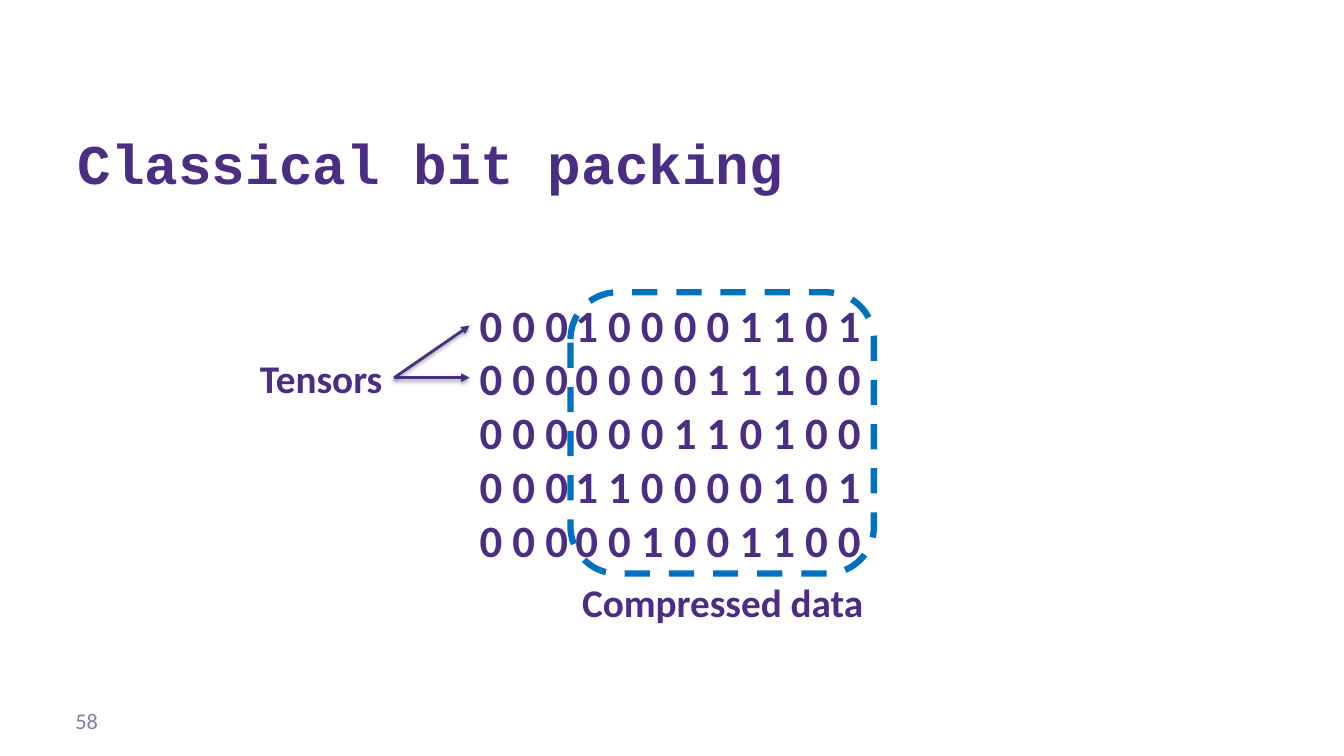
from lxml import etree
from pptx import Presentation
from pptx.dml.color import RGBColor
from pptx.enum.dml import MSO_LINE
from pptx.enum.shapes import MSO_CONNECTOR, MSO_SHAPE
from pptx.enum.text import MSO_ANCHOR, MSO_AUTO_SIZE, PP_ALIGN
from pptx.oxml import parse_xml
from pptx.oxml.ns import qn
from pptx.util import Pt

PURPLE = RGBColor(0x4B, 0x2E, 0x83)
MUTED_PURPLE = RGBColor(0x86, 0x7E, 0xA3)
BLUE = RGBColor(0x00, 0x70, 0xC0)
LEFT, CENTER = PP_ALIGN.LEFT, PP_ALIGN.CENTER
TOP, MIDDLE, BOTTOM = MSO_ANCHOR.TOP, MSO_ANCHOR.MIDDLE, MSO_ANCHOR.BOTTOM
NO_AUTOFIT = MSO_AUTO_SIZE.NONE
ROUNDED, STRAIGHT, DASH = MSO_SHAPE.ROUNDED_RECTANGLE, MSO_CONNECTOR.STRAIGHT, MSO_LINE.DASH
RIGHT_SIDE = 3

BITS_TOP, BITS_HEIGHT = 208.8, 200.9
LEADING_ZEROS = ["0 0 0"] * 5
PACKED_BITS = [
    "1 0 0 0 0 1 1 0 1",
    "0 0 0 0 1 1 1 0 0",
    "0 0 0 1 1 0 1 0 0",
    "1 1 0 0 0 0 1 0 1",
    "0 0 1 0 0 1 1 0 0",
]
SHADOW = (
    '<a:effectLst xmlns:a="http://schemas.openxmlformats.org/drawingml/2006/main">'
    '<a:outerShdw blurRad="39370" dist="20320" dir="5400000" rotWithShape="0">'
    '<a:srgbClr val="000000"><a:alpha val="38000"/></a:srgbClr>'
    '</a:outerShdw></a:effectLst>'
)


def write_lines(frame, lines, size, color=PURPLE, font="Calibri", bold=True,
                align=LEFT, anchor=TOP, wrap=True):
    frame.auto_size = NO_AUTOFIT
    frame.word_wrap = wrap
    frame.vertical_anchor = anchor
    for index, line in enumerate(lines):
        paragraph = frame.add_paragraph() if index else frame.paragraphs[0]
        paragraph.alignment = align
        run = paragraph.add_run()
        run.text = line
        run.font.name = font
        run.font.size = Pt(size)
        run.font.bold = bold
        run.font.color.rgb = color


def add_label(slide, left, top, width, height, lines, size, **style):
    label = slide.shapes.add_textbox(Pt(left), Pt(top), Pt(width), Pt(height))
    write_lines(label.text_frame, lines, size, **style)
    return label


def add_title(slide, text):
    title = slide.shapes.title
    title.left, title.top, title.width, title.height = Pt(48.2), Pt(38.9), Pt(858.2), Pt(104.4)
    write_lines(title.text_frame, [text], 40, font="Courier New", anchor=BOTTOM)


def add_dashed_frame(slide, left, top, width, height):
    frame = slide.shapes.add_shape(ROUNDED, Pt(left), Pt(top), Pt(width), Pt(height))
    frame.shadow.inherit = False
    frame.fill.background()
    frame.line.color.rgb = BLUE
    frame.line.width = Pt(4.5)
    frame.line.dash_style = DASH


def add_arrow(slide, source, end_x, end_y):
    """Draw a shadowed arrow from the right side of source."""
    arrow = slide.shapes.add_connector(STRAIGHT, 0, 0, Pt(end_x), Pt(end_y))
    arrow.begin_connect(source, RIGHT_SIDE)
    arrow.line.color.rgb = PURPLE
    arrow.line.width = Pt(2)
    etree.SubElement(arrow.line._get_or_add_ln(), qn("a:tailEnd"), type="triangle")
    arrow._element.spPr.append(parse_xml(SHADOW))


def main():
    deck = Presentation()
    deck.slide_width, deck.slide_height = Pt(960), Pt(540)
    slide = deck.slides.add_slide(deck.slide_layouts[5])

    add_title(slide, "Classical bit packing")
    add_label(slide, 46.8, 500.4, 216, 28.8, ["58"], 16,
              color=MUTED_PURPLE, bold=False, anchor=MIDDLE)
    for left, width, rows in ((335.5, 78.5, LEADING_ZEROS), (403.9, 221, PACKED_BITS)):
        add_label(slide, left, BITS_TOP, width, BITS_HEIGHT, rows, 32, wrap=False)
    add_dashed_frame(slide, 407.5, BITS_TOP, 216.7, BITS_HEIGHT)
    add_label(slide, 393.8, BITS_TOP + BITS_HEIGHT, 244.8, 41,
              ["Compressed data"], 28, align=CENTER)

    tensors = add_label(slide, 178.6, 249.3, 103, 41, ["Tensors"], 28, wrap=False)
    for row_y in (232.6, 269.8):
        add_arrow(slide, tensors, 335.5, row_y)

    deck.save("out.pptx")


if __name__ == "__main__":
    main()
